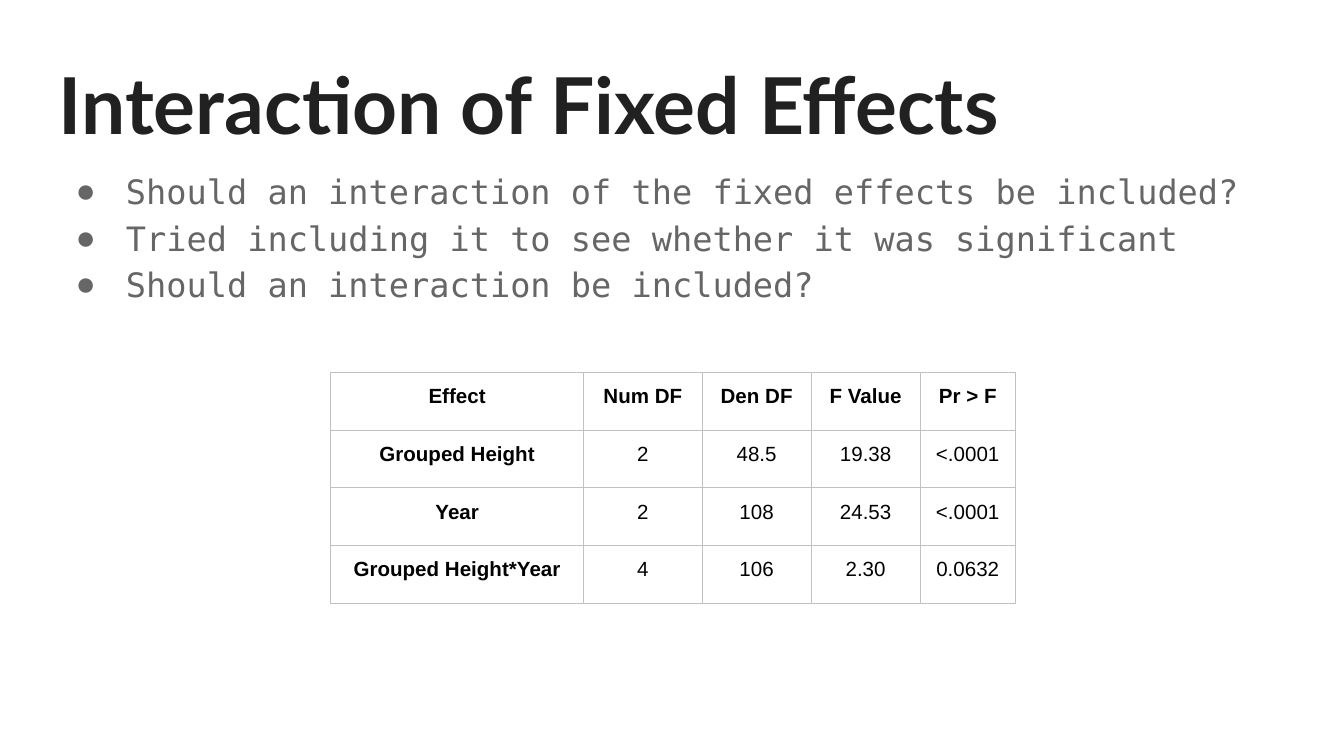
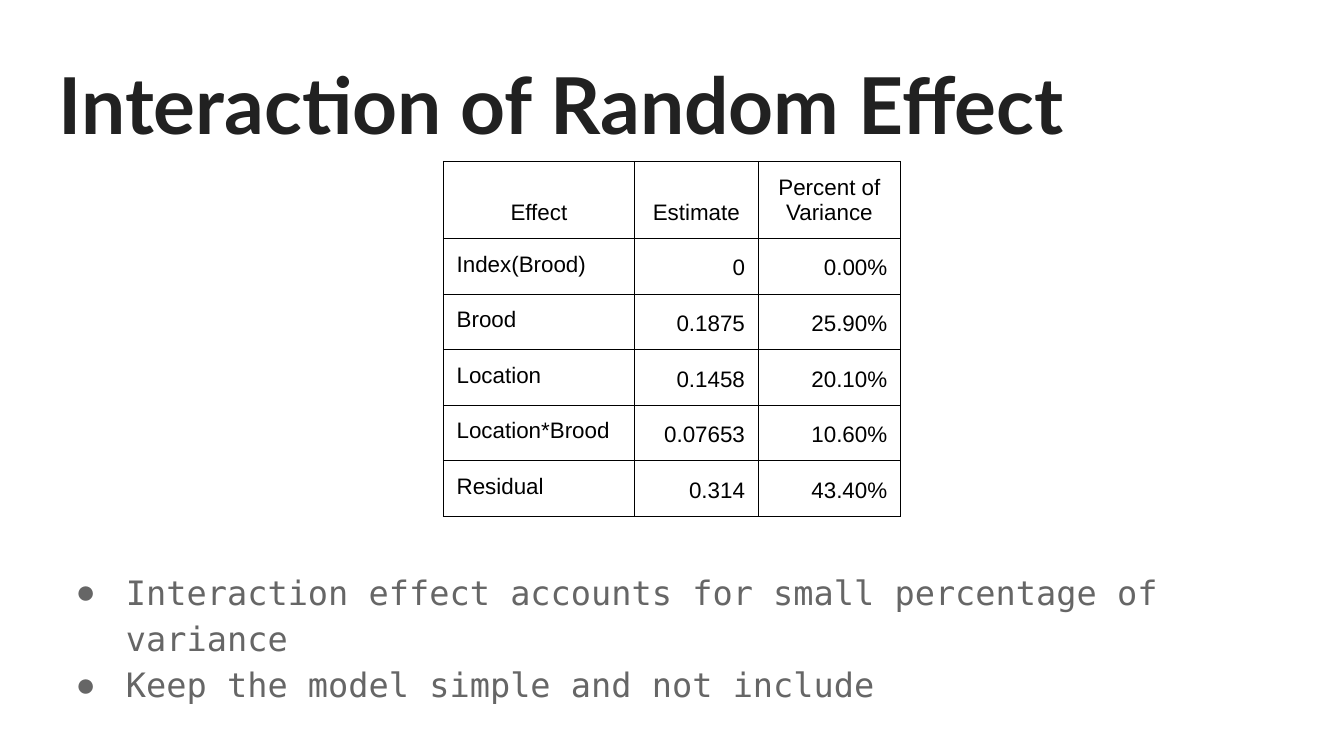
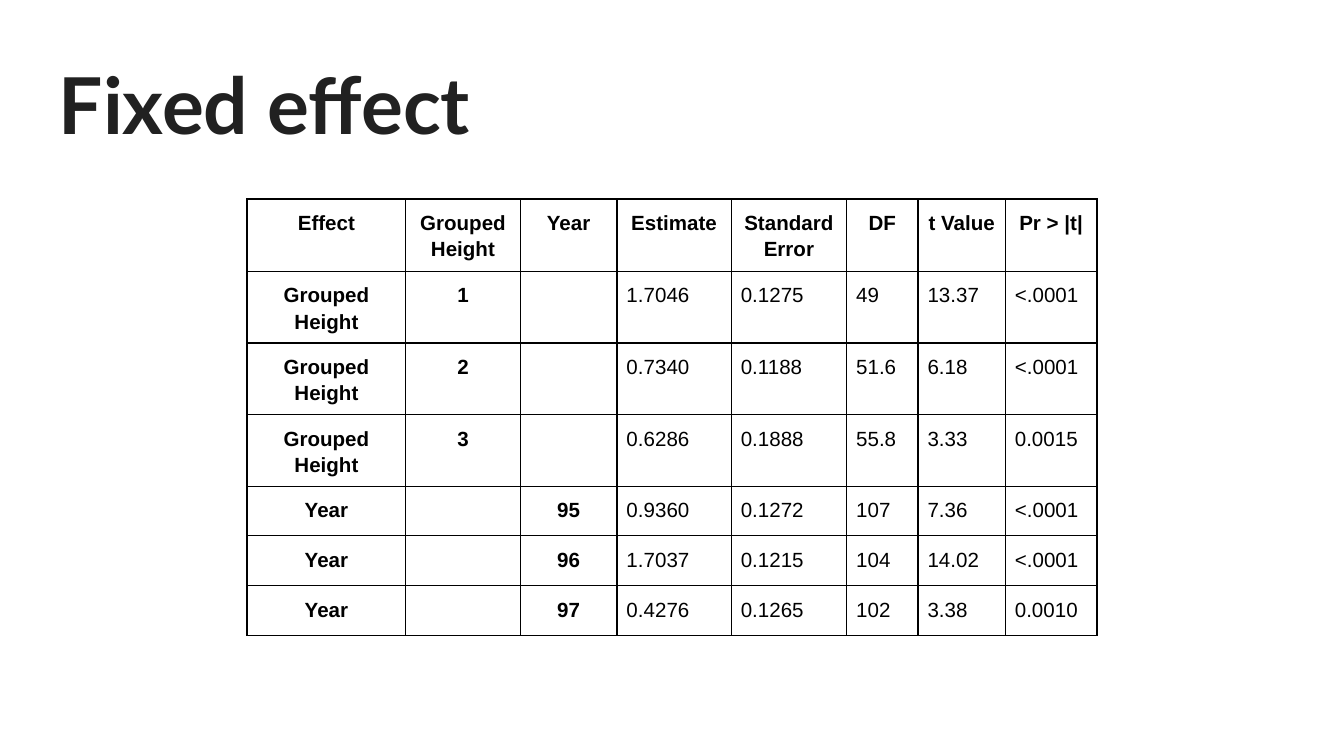
"""Build three slides on fixed and random effects in a mixed model."""
from dataclasses import dataclass

from lxml import etree
from pptx import Presentation
from pptx import util as u
from pptx.dml.color import RGBColor
from pptx.enum import text
from pptx.oxml import ns

TITLE_FONT, BODY_FONT, TABLE_FONT = "Lato", "DejaVu Sans Mono", "Arial"
TITLE_INK, BODY_INK, BLACK, GRID_GREY = "212121", "666666", "000000", "C1C1C1"
MARGIN, CONTENT_WIDTH = 0.86, 23.67
TITLE_LAYOUT, BODY_LAYOUT = 5, 1
LEFT, CENTER, RIGHT = text.PP_ALIGN.LEFT, text.PP_ALIGN.CENTER, text.PP_ALIGN.RIGHT
TOP, BOTTOM = text.MSO_ANCHOR.TOP, text.MSO_ANCHOR.BOTTOM


@dataclass
class CellStyle:
    """Describe the text setting of one kind of table cell."""
    align: int
    bold: bool = False
    spacing: float = 1.15
    anchor: int = TOP


@dataclass
class TableStyle:
    """Describe the look of a whole table."""
    header: CellStyle
    label: CellStyle
    value: CellStyle
    label_columns: int = 1
    size: float = 11
    inset: float = 0.18
    grid: str = BLACK

    def cell_style(self, row, column):
        """Return the style that applies at a row and column."""
        if row == 0:
            return self.header
        return self.label if column < self.label_columns else self.value


def color(code):
    """Turn a hex string into a colour."""
    return RGBColor.from_string(code)


def add_span(para, words, font, size, ink, bold=False):
    """Add one formatted run to a paragraph."""
    span = para.add_run()
    span.text = words
    span.font.name = font
    span.font.size = u.Pt(size)
    span.font.bold = bold
    span.font.color.rgb = color(ink)


def set_insets(holder, inset):
    """Give a text frame or cell the same margin on every side."""
    holder.margin_left = holder.margin_right = u.Cm(inset)
    holder.margin_top = holder.margin_bottom = u.Cm(inset)


def place(box, top, height):
    """Move a placeholder into the content column and return its frame."""
    box.left, box.top = u.Cm(MARGIN), u.Cm(top)
    box.width, box.height = u.Cm(CONTENT_WIDTH), u.Cm(height)
    frame = box.text_frame
    frame.word_wrap = True
    frame.auto_size = text.MSO_AUTO_SIZE.NONE
    frame.vertical_anchor = TOP
    set_insets(frame, 0.25)
    return frame


def add_page(deck, layout, title):
    """Add a slide with its title."""
    page = deck.slides.add_slide(deck.slide_layouts[layout])
    para = place(page.shapes.title, 0.81, 2.24).paragraphs[0]
    para.alignment = LEFT
    add_span(para, title, TITLE_FONT, 42, TITLE_INK, True)
    return page


def add_bullet(para):
    """Give a paragraph a round bullet with a hanging indent."""
    props = para._p.get_or_add_pPr()
    props.set("marL", str(u.Cm(1.27)))
    props.set("indent", str(u.Cm(-0.95)))
    tint = etree.SubElement(props, ns.qn("a:buClr"))
    etree.SubElement(tint, ns.qn("a:srgbClr"), val=BODY_INK)
    etree.SubElement(props, ns.qn("a:buChar"), char="●")


def fill_list(page, top, height, items):
    """Write a bulleted list into the body placeholder."""
    frame = place(page.placeholders[1], top, height)
    for index, item in enumerate(items):
        para = frame.add_paragraph() if index else frame.paragraphs[0]
        para.line_spacing = 1.15
        para.space_before = u.Pt(0)
        add_bullet(para)
        add_span(para, item, BODY_FONT, 18, BODY_INK)


def add_borders(cell, ink):
    """Draw a thin line on all four sides of a cell."""
    props = cell._tc.get_or_add_tcPr()
    for side in ("lnL", "lnR", "lnT", "lnB"):
        line = etree.SubElement(props, ns.qn(f"a:{side}"), w=str(u.Pt(0.75)))
        fill = etree.SubElement(line, ns.qn("a:solidFill"))
        etree.SubElement(fill, ns.qn("a:srgbClr"), val=ink)


def fill_cell(cell, words, look, style):
    """Write and format one table cell."""
    add_borders(cell, style.grid)
    cell.fill.background()
    set_insets(cell, style.inset)
    cell.vertical_anchor = look.anchor
    for index, part in enumerate(words.split("\n")):
        frame = cell.text_frame
        para = frame.add_paragraph() if index else frame.paragraphs[0]
        para.alignment = look.align
        para.line_spacing = look.spacing
        if part:
            add_span(para, part, TABLE_FONT, style.size, BLACK, look.bold)
        else:
            etree.SubElement(para._p, ns.qn("a:endParaRPr"), sz=str(style.size * 100))


def add_grid(page, left, top, widths, heights, rows, style):
    """Add a table with the given column widths and row heights."""
    box = page.shapes.add_table(len(rows), len(widths), u.Cm(left), u.Cm(top),
                                u.Cm(sum(widths)), u.Cm(sum(heights)))
    grid = box.table
    grid.first_row = grid.horz_banding = False
    for column, width in zip(grid.columns, widths):
        column.width = u.Cm(width)
    for row, height in zip(grid.rows, heights):
        row.height = u.Cm(height)
    for r, row in enumerate(rows):
        for c, words in enumerate(row):
            fill_cell(grid.cell(r, c), words, style.cell_style(r, c), style)


def add_fixed_interaction(deck):
    """Add the slide that tests the interaction of fixed effects."""
    page = add_page(deck, BODY_LAYOUT, "Interaction of Fixed Effects")
    fill_list(page, 2.87, 3.2, [
        "Should an interaction of the fixed effects be included?",
        "Tried including it to see whether it was significant",
        "Should an interaction be included?",
    ])
    heading = CellStyle(CENTER, bold=True)
    style = TableStyle(heading, heading, CellStyle(CENTER), grid=GRID_GREY)
    add_grid(page, 6.25, 7.04, [4.78, 2.24, 2.06, 2.06, 1.8], [1.09] * 4, [
        ["Effect", "Num DF", "Den DF", "F Value", "Pr > F"],
        ["Grouped Height", "2", "48.5", "19.38", "<.0001"],
        ["Year", "2", "108", "24.53", "<.0001"],
        ["Grouped Height*Year", "4", "106", "2.30", "0.0632"],
    ], style)


def add_random_interaction(deck):
    """Add the slide on the variance shares of random effects."""
    page = add_page(deck, BODY_LAYOUT, "Interaction of Random Effect")
    fill_list(page, 10.44, 3.43, [
        "Interaction effect accounts for small percentage of variance",
        "Keep the model simple and not include",
    ])
    style = TableStyle(CellStyle(CENTER, spacing=1.0, anchor=BOTTOM),
                       CellStyle(LEFT, spacing=1.0), CellStyle(RIGHT),
                       size=12, inset=0.25)
    add_grid(page, 8.38, 3.05, [3.61, 2.34, 2.69], [1.46] + [1.05] * 5, [
        ["Effect", "Estimate", "Percent of Variance"],
        ["Index(Brood)", "0", "0.00%"],
        ["Brood", "0.1875", "25.90%"],
        ["Location", "0.1458", "20.10%"],
        ["Location*Brood", "0.07653", "10.60%"],
        ["Residual", "0.314", "43.40%"],
    ], style)


def add_fixed_estimates(deck):
    """Add the slide with the estimates of the fixed effects."""
    page = add_page(deck, TITLE_LAYOUT, "Fixed effect")
    heading = CellStyle(CENTER, bold=True)
    style = TableStyle(heading, heading, CellStyle(LEFT), label_columns=3)
    widths = [3, 2.16, 1.83, 2.16, 2.18, 1.35, 1.65, 1.73]
    add_grid(page, 4.67, 3.76, widths, [1.37] + [1.35] * 3 + [0.94] * 3, [
        ["Effect", "Grouped Height", "Year", "Estimate", "Standard\nError",
         "DF", "t Value", "Pr > |t|"],
        ["Grouped Height", "1", "", "1.7046", "0.1275", "49", "13.37", "<.0001"],
        ["Grouped Height", "2", "", "0.7340", "0.1188", "51.6", "6.18", "<.0001"],
        ["Grouped Height", "3", "", "0.6286", "0.1888", "55.8", "3.33", "0.0015"],
        ["Year", "", "95", "0.9360", "0.1272", "107", "7.36", "<.0001"],
        ["Year", "", "96", "1.7037", "0.1215", "104", "14.02", "<.0001"],
        ["Year", "", "97", "0.4276", "0.1265", "102", "3.38", "0.0010"],
    ], style)


def main():
    """Build the deck and save it."""
    deck = Presentation()
    deck.slide_width, deck.slide_height = u.Cm(25.4), u.Cm(14.29)
    add_fixed_interaction(deck)
    add_random_interaction(deck)
    add_fixed_estimates(deck)
    deck.save("out.pptx")


if __name__ == "__main__":
    main()
